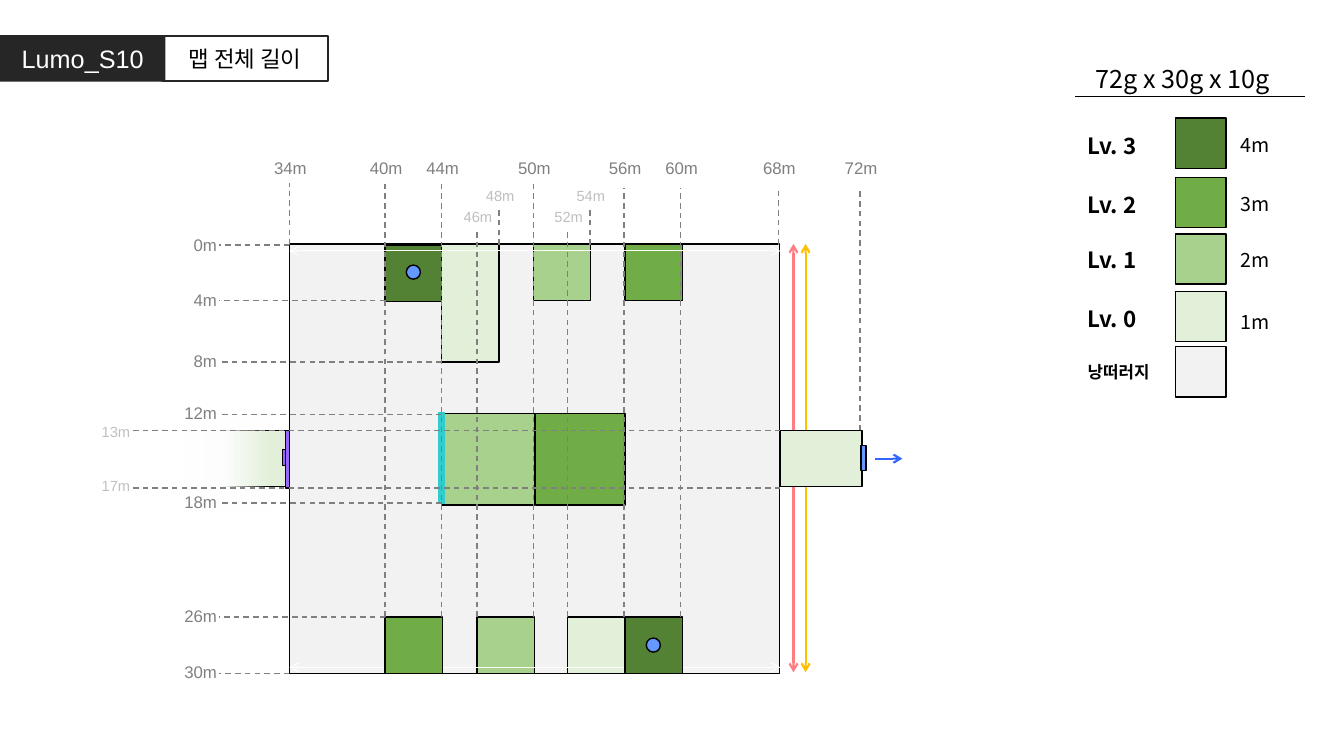
from dataclasses import dataclass
from typing import Any, NamedTuple, Optional

from lxml import etree
from pptx import Presentation
from pptx import util as u
from pptx.dml import color
from pptx.enum import dml, shapes, text
from pptx.oxml import ns

EMU_PER_PX = 9144
RECTANGLE = shapes.MSO_SHAPE.RECTANGLE
OVAL = shapes.MSO_SHAPE.OVAL
LEFT, CENTER, RIGHT = text.PP_ALIGN.LEFT, text.PP_ALIGN.CENTER, text.PP_ALIGN.RIGHT


@dataclass(frozen=True)
class Theme:
    latin: str = "Arial"
    korean: str = "Noto Sans CJK KR"
    black: str = "000000"
    white: str = "FFFFFF"
    title: str = "262626"
    level_3: str = "548235"
    level_2: str = "70AD47"
    level_1: str = "A9D18E"
    level_0: str = "E2F0D9"
    cliff: str = "F2F2F2"
    guide: str = "808080"
    minor: str = "BFBFBF"
    purple: str = "9966FF"
    blue: str = "6699FF"
    exit: str = "3366FF"
    amber: str = "FFC000"
    pink: str = "FF7C80"
    teal: str = "33CCCC"
    heading_size: float = 18
    subtitle_size: float = 16
    value_size: float = 14
    label_size: float = 12
    minor_size: float = 10.5


THEME = Theme()


class Block(NamedTuple):
    x: int
    y: int
    width: int
    height: int
    fill: Optional[str]
    line: Optional[str] = THEME.black
    weight: float = 1
    preset: Any = RECTANGLE


class Line(NamedTuple):
    x1: int
    y1: int
    x2: int
    y2: int
    color: str
    weight: float = 1
    dashed: bool = False
    arrows: tuple[str, ...] = ()


class Label(NamedTuple):
    x: int
    y: int
    width: int
    height: int
    words: str
    size: float
    font: str = THEME.latin
    color: str = THEME.black
    align: Any = CENTER
    bold: bool = False


class LegendRow(NamedTuple):
    name: str
    name_y: int
    size: float
    swatch_y: int
    fill: str
    value: str = ""
    value_y: int = 0


class Guide(NamedTuple):
    meters: int
    place: int
    start: int
    end: int
    label: int
    minor: bool = False


LEGEND = [
    LegendRow("Lv. 3", 126, THEME.subtitle_size, 117, THEME.level_3, "4m", 127),
    LegendRow("Lv. 2", 185, THEME.subtitle_size, 176, THEME.level_2, "3m", 186),
    LegendRow("Lv. 1", 239, THEME.subtitle_size, 232, THEME.level_1, "2m", 241),
    LegendRow("Lv. 0", 298, THEME.subtitle_size, 289, THEME.level_0, "1m", 303),
    LegendRow("낭떠러지", 354, THEME.label_size, 344, THEME.cliff),
]
FADE = Block(183, 409, 84, 100, THEME.white, None)
MAP_BASE = [Block(287, 242, 486, 426, THEME.cliff), Block(203, 427, 81, 56, THEME.level_0)]
MAP_PARTS: list[Block | Line] = [
    Block(280, 446, 4, 16, THEME.purple),
    Block(283, 427, 4, 57, THEME.purple),
    Block(382, 243, 57, 56, THEME.level_3),
    Block(438, 242, 57, 117, THEME.level_0),
    Block(529, 242, 57, 56, THEME.level_1),
    Block(620, 242, 57, 56, THEME.level_2),
    Block(473, 612, 57, 56, THEME.level_1),
    Block(563, 612, 57, 56, THEME.level_0),
    Block(438, 410, 92, 91, THEME.level_1),
    Block(531, 410, 89, 91, THEME.level_2),
    *[Line(287, y, 774, y, THEME.white, 0.75, arrows=("headEnd", "tailEnd"))
      for y in (249, 662)],
    Block(382, 612, 57, 56, THEME.level_2),
    Block(620, 612, 57, 56, THEME.level_3),
    *[Line(x, 667, x, 242, tint, 1.5, arrows=("headEnd", "tailEnd"))
      for x, tint in ((799, THEME.amber), (787, THEME.pink))],
    Block(774, 427, 81, 56, THEME.level_0),
    Line(868, 455, 895, 455, THEME.exit, 1.5, arrows=("tailEnd",)),
    Block(854, 442, 5, 25, THEME.blue),
    Block(403, 263, 14, 14, THEME.blue, preset=OVAL),
    Block(641, 633, 14, 14, THEME.blue, preset=OVAL),
    Line(438, 409, 438, 500, THEME.teal, 4.5),
]
COLUMNS = [
    Guide(34, 287, 243, 182, 152), Guide(40, 382, 612, 182, 152),
    Guide(44, 438, 612, 182, 152), Guide(46, 473, 612, 228, 201, True),
    Guide(48, 495, 243, 208, 180, True), Guide(50, 529, 612, 182, 152),
    Guide(52, 563, 612, 228, 201, True), Guide(54, 585, 243, 208, 180, True),
    Guide(56, 619, 612, 187, 152), Guide(60, 675, 612, 187, 152),
    Guide(68, 772, 243, 187, 152), Guide(72, 853, 427, 187, 152),
]
ROWS = [
    Guide(0, 243, 287, 217, 228), Guide(4, 298, 382, 217, 283),
    Guide(8, 359, 438, 217, 343), Guide(12, 411, 438, 217, 395),
    Guide(13, 427, 774, 132, 415, True), Guide(17, 484, 774, 132, 468, True),
    Guide(18, 499, 438, 217, 483), Guide(26, 612, 382, 217, 596),
    Guide(30, 668, 287, 217, 652),
]


def px(length: int) -> u.Emu:
    return u.Emu(length * EMU_PER_PX)


def rgb(value: str) -> color.RGBColor:
    return color.RGBColor.from_string(value)


def write(shape: Any, label: Label) -> None:
    paragraph = shape.text_frame.paragraphs[0]
    paragraph.alignment = label.align
    run = paragraph.add_run()
    run.text = label.words
    run.font.size = u.Pt(label.size)
    run.font.name = label.font
    run.font.bold = label.bold
    run.font.color.rgb = rgb(label.color)
    properties = run._r.get_or_add_rPr()
    etree.SubElement(properties, ns.qn("a:ea"), typeface=THEME.korean)


def draw_label(canvas: Any, label: Label) -> None:
    box = canvas.add_textbox(px(label.x), px(label.y), px(label.width), px(label.height))
    box.text_frame.word_wrap = True
    box.text_frame.auto_size = text.MSO_AUTO_SIZE.SHAPE_TO_FIT_TEXT
    write(box, label)


def draw_block(canvas: Any, block: Block) -> Any:
    shape = canvas.add_shape(block.preset, px(block.x), px(block.y),
                             px(block.width), px(block.height))
    shape.shadow.inherit = False
    if block.fill:
        shape.fill.solid()
        shape.fill.fore_color.rgb = rgb(block.fill)
    else:
        shape.fill.background()
    if block.line:
        shape.line.color.rgb = rgb(block.line)
        shape.line.width = u.Pt(block.weight)
    else:
        shape.line.fill.background()
    return shape


def draw_line(canvas: Any, line: Line) -> None:
    connector = canvas.add_connector(shapes.MSO_CONNECTOR.STRAIGHT, px(line.x1), px(line.y1),
                                     px(line.x2), px(line.y2))
    connector.line.color.rgb = rgb(line.color)
    connector.line.width = u.Pt(line.weight)
    if line.dashed:
        connector.line.dash_style = dml.MSO_LINE.DASH
    for end in line.arrows:
        etree.SubElement(connector.line._get_or_add_ln(), ns.qn(f"a:{end}"), type="arrow")
    etree.SubElement(connector._element.spPr, ns.qn("a:effectLst"))


def draw_title(canvas: Any) -> None:
    draw_line(canvas, Line(1066, 96, 1294, 96, THEME.black))
    draw_label(canvas, Label(1063, 58, 220, 40, "72g x 30g x 10g",
                             THEME.heading_size, THEME.korean))
    for block, words, size, tint in (
        (Block(0, 35, 164, 46, THEME.title, None), "Lumo_S10", THEME.heading_size, THEME.white),
        (Block(161, 36, 164, 44, None, THEME.title, 1.5), "맵 전체 길이",
         THEME.subtitle_size, THEME.black),
    ):
        shape = draw_block(canvas, block)
        shape.text_frame.vertical_anchor = text.MSO_ANCHOR.MIDDLE
        write(shape, Label(*block[:4], words, size, color=tint))


def draw_legend(canvas: Any) -> None:
    for row in LEGEND:
        draw_block(canvas, Block(1166, row.swatch_y, 50, 50, row.fill))
        draw_label(canvas, Label(1069, row.name_y, 107, 37, row.name, row.size,
                                 THEME.korean, align=LEFT, bold=True))
        if row.value:
            draw_label(canvas, Label(1221, row.value_y, 71, 33, row.value,
                                     THEME.value_size, THEME.korean, align=LEFT))


def draw_map(canvas: Any) -> None:
    for block in MAP_BASE:
        draw_block(canvas, block)
    fade = draw_block(canvas, FADE)
    fade.fill.gradient()
    fade.fill.gradient_angle = 180
    for stop, position in zip(fade.fill.gradient_stops, (0, 0.55)):
        stop.color.rgb = rgb(THEME.white)
        stop.position = position
    clear_stop = fade._element.find(f".//{ns.qn('a:gs')}")
    etree.SubElement(clear_stop[0], ns.qn("a:alpha"), val="0")
    for part in MAP_PARTS:
        if isinstance(part, Block):
            draw_block(canvas, part)
        else:
            draw_line(canvas, part)


def draw_guide(canvas: Any, guide: Guide, vertical: bool) -> None:
    size, tint = ((THEME.minor_size, THEME.minor) if guide.minor
                  else (THEME.label_size, THEME.guide))
    if vertical:
        ends = (guide.place, guide.start, guide.place, guide.end)
        label_x, align = guide.place - 28, CENTER
    else:
        ends = (guide.start, guide.place, guide.end, guide.place)
        label_x, align = (86, CENTER) if guide.minor else (167, RIGHT)
    draw_line(canvas, Line(*ends, THEME.guide, dashed=True))
    draw_label(canvas, Label(label_x, guide.label, 58, 30, f"{guide.meters}m", size,
                             color=tint, align=align))


def main() -> None:
    presentation = Presentation()
    presentation.slide_width, presentation.slide_height = px(1333), px(750)
    slide = presentation.slides.add_slide(presentation.slide_layouts[6])
    draw_title(slide.shapes)
    draw_legend(slide.shapes.add_group_shape().shapes)
    draw_map(slide.shapes.add_group_shape().shapes)
    for guides, vertical in ((COLUMNS, True), (ROWS, False)):
        for guide in guides:
            draw_guide(slide.shapes, guide, vertical)
    presentation.save("out.pptx")


if __name__ == "__main__":
    main()
